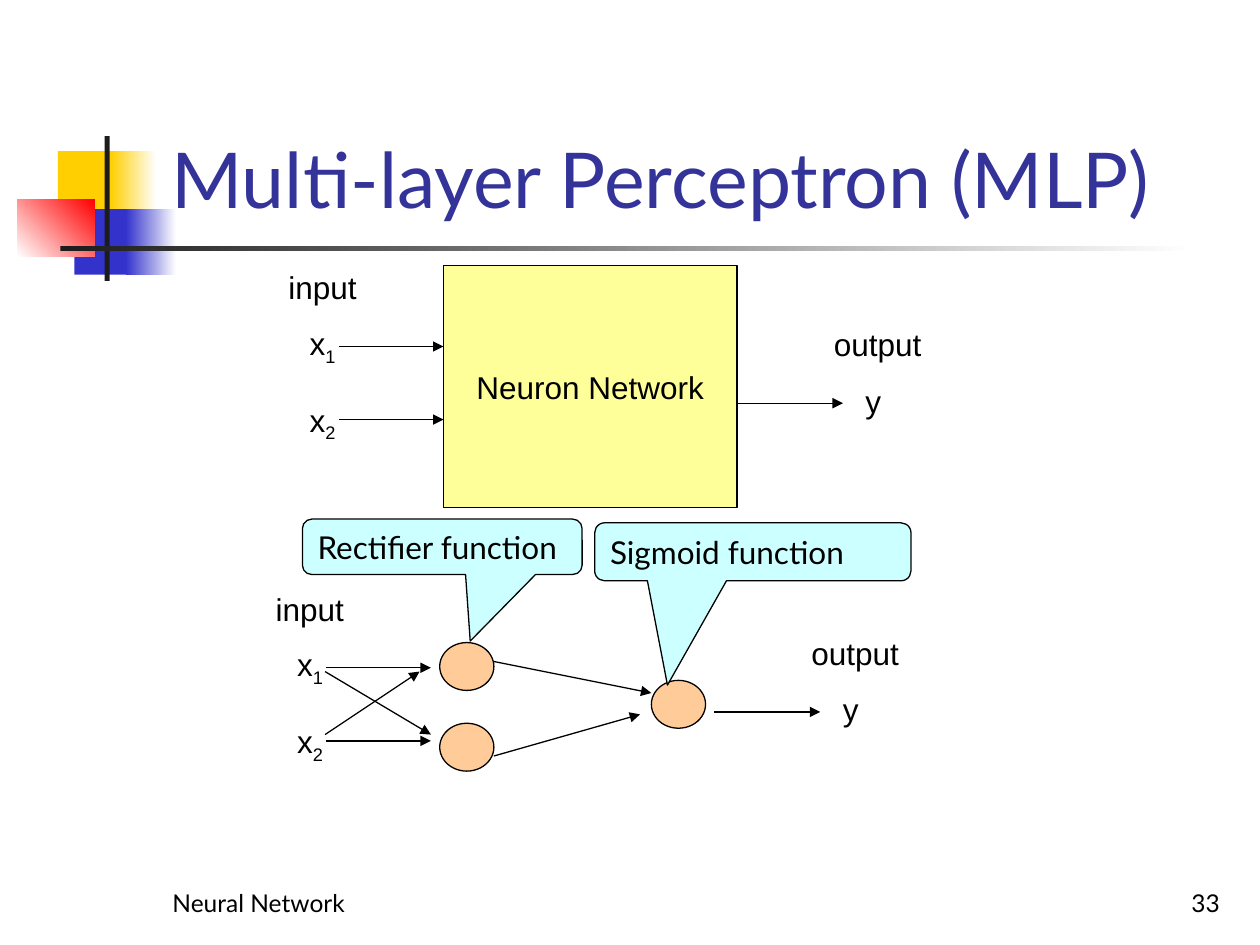
from lxml import etree
from pptx import Presentation
from pptx.dml.color import RGBColor
from pptx.enum.shapes import MSO_CONNECTOR, MSO_SHAPE
from pptx.enum.text import MSO_ANCHOR, MSO_AUTO_SIZE, PP_ALIGN
from pptx.oxml.ns import qn
from pptx.util import Inches, Pt

RECTANGLE = MSO_SHAPE.RECTANGLE
OVAL = MSO_SHAPE.OVAL
CALLOUT = MSO_SHAPE.ROUNDED_RECTANGULAR_CALLOUT
STRAIGHT = MSO_CONNECTOR.STRAIGHT
TOP, MIDDLE, BOTTOM = MSO_ANCHOR.TOP, MSO_ANCHOR.MIDDLE, MSO_ANCHOR.BOTTOM
LEFT, CENTER, RIGHT = PP_ALIGN.LEFT, PP_ALIGN.CENTER, PP_ALIGN.RIGHT
FIT_SHAPE = MSO_AUTO_SIZE.SHAPE_TO_FIT_TEXT
rgb = RGBColor.from_string

presentation = Presentation()
presentation.slide_width = Inches(10)
presentation.slide_height = Inches(7.5)
slide = presentation.slides.add_slide(presentation.slide_layouts[6])


def add_block(kind, box, colors, angle=0, outlined=True):
    block = slide.shapes.add_shape(kind, *map(Inches, box))
    block.shadow.inherit = False
    if len(colors) == 2:
        block.fill.gradient()
        block.fill.gradient_angle = angle
        for stop, color in zip(block.fill.gradient_stops, colors):
            stop.color.rgb = rgb(color)
    else:
        block.fill.solid()
        block.fill.fore_color.rgb = rgb(colors[0])
    if outlined:
        block.line.color.rgb = rgb("000000")
        block.line.width = Pt(0.75)
    else:
        block.line.fill.background()
    return block


def write(holder, parts, size=18, font="Arial", color="000000", anchor=TOP, align=LEFT, wrap=True):
    frame = holder.text_frame
    frame.word_wrap = wrap
    frame.vertical_anchor = anchor
    paragraph = frame.paragraphs[0]
    paragraph.alignment = align
    for part in parts:
        run = paragraph.add_run()
        run.text = part
        run.font.size = Pt(size)
        run.font.name = font
        run.font.color.rgb = rgb(color)
    return paragraph.runs


for box, colors, angle in [
    ((0.46, 1.2, 0.48, 0.52), ["FFCF01"], 0),
    ((0.88, 1.2, 0.36, 0.52), ["FFCF01", "FFFFFF"], 0),
    ((0.59, 1.66, 0.46, 0.52), ["3333CC"], 0),
    ((1, 1.66, 0.4, 0.52), ["3333CC", "FFFFFF"], 0),
    ((0.14, 1.58, 0.61, 0.46), ["FFFFFF", "FF0000"], 45),
    ((0.83, 1.08, 0.04, 1.15), ["1C1C1C"], 0),
    ((0.48, 1.95, 9, 0.04), ["1C1C1C", "FFFFFF"], 0),
]:
    add_block(RECTANGLE, box, colors, angle, outlined=False)

for text, box, size, color, align in [
    ("Neural Network", (1.27, 6.83, 2.08, 0.5), 14, "000000", LEFT),
    ("33", (7.7, 6.83, 2.08, 0.5), 14, "000000", RIGHT),
    ("Multi-layer Perceptron (MLP)", (1.26, 0.23, 8.52, 1.6), 44, "333399", LEFT),
]:
    heading = slide.shapes.add_textbox(*map(Inches, box))
    write(heading, [text], size, "Lato", color, BOTTOM, align)

network = add_block(RECTANGLE, (3.52, 2.11, 2.33, 1.92), ["FFFF99"])
write(network, ["Neuron Network"], anchor=MIDDLE, align=CENTER, wrap=False)

for left, top in [(3.49, 5.1), (3.49, 5.74), (5.17, 5.4)]:
    add_block(OVAL, (left, top, 0.43, 0.38), ["FFCC99"])

labels = []
arrows = [
    (3.92, 5.25, 5.17, 5.5),
    (3.92, 6, 5.08, 5.67),
    (2.58, 5.33, 3.42, 5.83),
    (2.58, 5.83, 3.33, 5.33),
]
for input_dx, input_dy, output_dx, output_dy in [(0, 0, 0, 0), (-0.1, 2.55, -0.18, 2.45)]:
    labels += [
        (["input"], 2.19 + input_dx, 2.08 + input_dy, 0.8, 0.4),
        (["x", "1"], 2.36 + input_dx, 2.52 + input_dy, 0.46, 0.44),
        (["x", "2"], 2.36 + input_dx, 3.13 + input_dy, 0.46, 0.44),
        (["output"], 6.52 + output_dx, 2.53 + output_dy, 0.95, 0.4),
        (["y"], 6.77 + output_dx, 2.98 + output_dy, 0.38, 0.4),
    ]
    for y in (2.75, 3.33):
        arrows.append((2.69 + input_dx, y + input_dy, 3.52 + input_dx, y + input_dy))
    arrows.append((5.85 + output_dx, 3.2 + output_dy, 6.69 + output_dx, 3.2 + output_dy))

for parts, *box in labels:
    label = slide.shapes.add_textbox(*map(Inches, box))
    for subscript in write(label, parts, wrap=False)[1:]:
        subscript.font._element.set("baseline", "-25000")

for ends in arrows:
    arrow = slide.shapes.add_connector(STRAIGHT, *map(Inches, ends))
    arrow.line.color.rgb = rgb("000000")
    arrow.line.width = Pt(0.75)
    etree.SubElement(arrow.line._get_or_add_ln(), qn("a:tailEnd"), type="triangle")
    etree.SubElement(arrow._element.spPr, qn("a:effectLst"))

for text, box, pointer in [
    ("Rectifier function", (2.4, 4.12, 2.22, 0.44), (0.1, 1.7, 0.17)),
    ("Sigmoid function", (4.72, 4.15, 2.51, 0.46), (-0.27, 2.3, 0.17)),
]:
    callout = add_block(CALLOUT, box, ["CCFFFF"])
    for position, value in enumerate(pointer):
        callout.adjustments[position] = value
    write(callout, [text], font="Lato", anchor=MIDDLE)

for shape in slide.shapes:
    if shape.has_text_frame and shape.text_frame.word_wrap is False and shape.shape_id != network.shape_id:
        shape.text_frame.auto_size = FIT_SHAPE

presentation.save("out.pptx")
